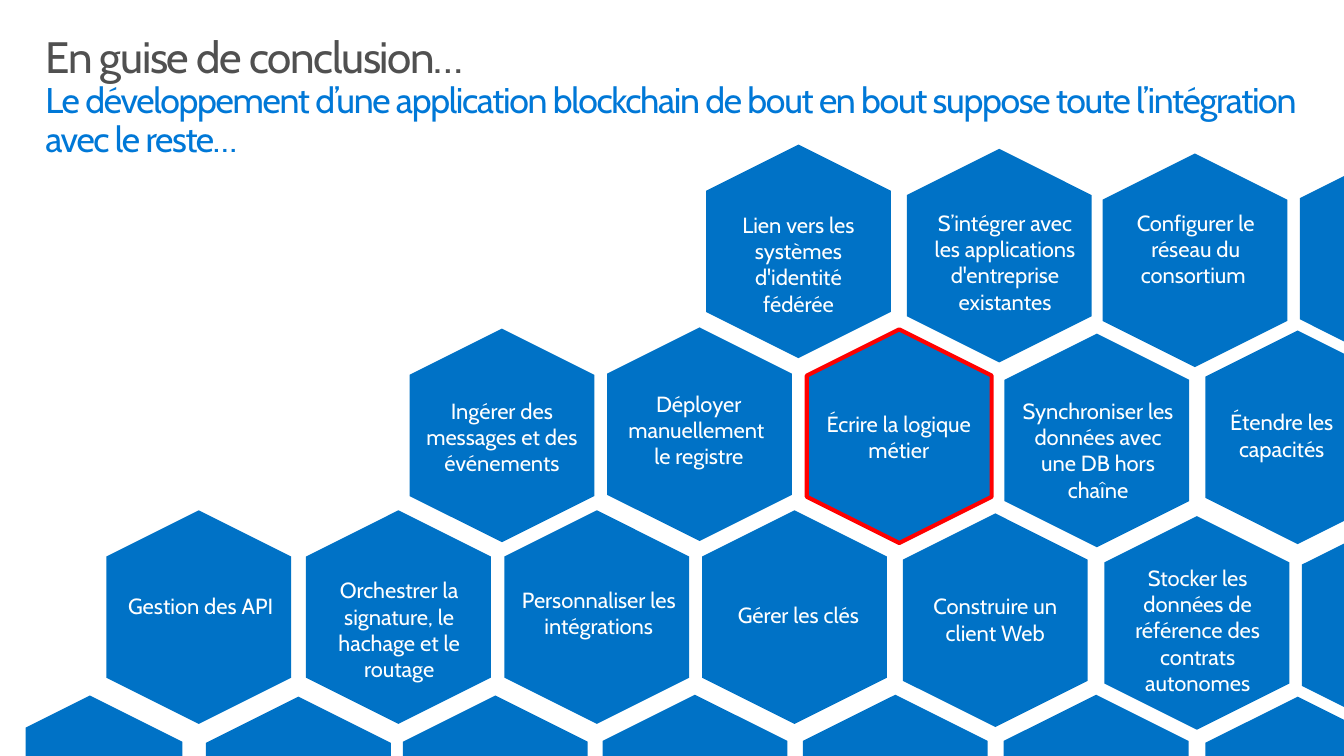
"""Build the closing slide: a honeycomb of blockchain integration tasks."""
from dataclasses import dataclass

from pptx import Presentation
from pptx.dml.color import RGBColor
from pptx.enum.shapes import MSO_SHAPE
from pptx.enum.text import MSO_ANCHOR, PP_ALIGN
from pptx.shapes.autoshape import Shape
from pptx.slide import Slide
from pptx.text.text import TextFrame
from pptx.util import Cm, Pt

Point = tuple[float, float]

BLUE = RGBColor(0x00, 0x72, 0xC6)
SKY = RGBColor(0x00, 0x78, 0xD7)
GREY = RGBColor(0x50, 0x50, 0x50)
RED = RGBColor(0xFF, 0x00, 0x00)
WHITE = RGBColor(0xFF, 0xFF, 0xFF)
FONT = "Cabin"
WIDE, HIGH = 34.54, 19.43
LEFT = 0.66
TALL, BROAD = 5.49, 4.75
SLOPE = BROAD / 4


@dataclass
class Label:
    """Text on a tile: centre, top, line count and box width in cm."""
    text: str
    mid: float
    top: float
    lines: int
    width: float = 4.17


@dataclass
class Tile:
    """Whole hexagon, given by its centre in cm."""
    x: float
    y: float
    label: Label
    framed: bool = False


TILES = [
    Tile(20.52, 6.46, Label("Lien vers les systèmes d'identité fédérée", 20.52, 5.23, 4)),
    Tile(25.68, 6.57, Label("S’intégrer avec les applications d'entreprise existantes",
                            25.83, 5.18, 4)),
    Tile(30.71, 6.69, Label("Configurer le réseau du consortium ", 30.73, 5.18, 3)),
    Tile(12.9, 11.19, Label("Ingérer des messages et des événements", 12.9, 10.01, 3)),
    Tile(17.98, 11.16, Label("Déployer manuellement \nle registre", 17.96, 9.83, 3)),
    Tile(23.11, 11.21, Label("Écrire la logique métier", 23.1, 10.34, 2, 4.65), True),
    Tile(28.19, 11.32, Label("Synchroniser les données avec une DB hors chaîne",
                             28.22, 10.01, 4)),
    Tile(5.11, 15.86, Label("Gestion des API", 5.16, 15.04, 1)),
    Tile(10.24, 15.86, Label("Orchestrer la signature, le hachage et le routage",
                             10.26, 14.63, 4, 4.88)),
    Tile(15.34, 15.86, Label("Personnaliser les intégrations", 15.39, 14.88, 2)),
    Tile(20.42, 15.86, Label("Gérer les clés", 20.52, 15.27, 1)),
    Tile(25.58, 15.94, Label("Construire un client Web", 25.58, 15.04, 2)),
    Tile(30.76, 16.01, Label("Stocker les données de référence des contrats autonomes",
                             30.78, 14.3, 5)),
]
CUT: list[Point] = [
    (2.31, 20.62), (7.67, 20.65), (12.73, 20.62), (17.86, 20.6), (23.01, 20.6),
    (28.17, 20.6), (33.35, 20.65), (35.78, 6.65), (33.35, 11.24), (35.83, 16.07),
]
EXTEND = Label("Étendre les capacités", 32.94, 10.31, 2)


def clip(points: list[Point], axis: int, edge: float, side: int) -> list[Point]:
    """Keep the part of an outline on one side of an edge."""
    kept = []
    for a, b in zip(points, points[1:] + points[:1]):
        da, db = side * (a[axis] - edge), side * (b[axis] - edge)
        if da >= 0:
            kept.append(a)
        if da * db < 0:
            t = da / (da - db)
            kept.append((a[0] + t * (b[0] - a[0]), a[1] + t * (b[1] - a[1])))
    return kept


def paint(shape: Shape, framed: bool = False) -> None:
    """Fill a hexagon and outline it if framed."""
    shape.shadow.inherit = False
    shape.fill.solid()
    shape.fill.fore_color.rgb = BLUE
    if framed:
        shape.line.color.rgb = RED
        shape.line.width = Pt(3)
    else:
        shape.line.fill.background()


def draw_cut(slide: Slide, x: float, y: float) -> None:
    """Draw a hexagon trimmed at the slide edges."""
    half, rise = BROAD / 2, TALL / 2
    points = [(x, y - rise), (x + half, y - rise + SLOPE), (x + half, y + rise - SLOPE),
              (x, y + rise), (x - half, y + rise - SLOPE), (x - half, y - rise + SLOPE)]
    for axis, edge, side in ((0, LEFT, 1), (0, WIDE, -1), (1, HIGH, -1)):
        points = clip(points, axis, edge, side)
    first, *rest = [(Cm(px), Cm(py)) for px, py in points]
    form = slide.shapes.build_freeform(*first)
    form.add_line_segments(rest)
    paint(form.convert_to_shape())


def add_text(slide: Slide, x: float, y: float, width: float, height: float,
             side: float, top: float, foot: float) -> TextFrame:
    """Add a wrapping text box with the given insets."""
    frame = slide.shapes.add_textbox(Cm(x), Cm(y), Cm(width), Cm(height)).text_frame
    frame.word_wrap = True
    frame.vertical_anchor = MSO_ANCHOR.TOP
    frame.margin_left = frame.margin_right = Cm(side)
    frame.margin_top, frame.margin_bottom = Cm(top), Cm(foot)
    return frame


def draw_label(slide: Slide, label: Label) -> None:
    """Write the white text of a tile."""
    frame = add_text(slide, label.mid - label.width / 2, label.top, label.width,
                     0.2 + 0.69 * label.lines, 0, 0.2, 0)
    frame.text = label.text
    for para in frame.paragraphs:
        para.alignment = PP_ALIGN.CENTER
        for run in para.runs:
            run.font.name, run.font.size = FONT, Pt(16)
            run.font.color.rgb = WHITE


def draw_tile(slide: Slide, tile: Tile) -> None:
    """Draw a whole hexagon and its label."""
    shape = slide.shapes.add_shape(MSO_SHAPE.HEXAGON, Cm(tile.x - TALL / 2),
                                   Cm(tile.y - BROAD / 2), Cm(TALL), Cm(BROAD))
    shape.rotation = 270
    paint(shape, tile.framed)
    draw_label(slide, tile.label)


def draw_title(slide: Slide) -> None:
    """Write the two-part title."""
    para = add_text(slide, 0.76, 0.66, 33.02, 2.39, 0.41, 0.25, 0.25).paragraphs[0]
    para.text = ("En guise de conclusion…\vLe développement d’une application blockchain "
                 "de bout en bout suppose toute l’intégration avec le reste…")
    para.line_spacing = 0.9
    for run, size, color in zip(para.runs, (32, 26), (GREY, SKY)):
        run.font.name, run.font.size = FONT, Pt(size)
        run.font.color.rgb = color
        run.font._element.set("spc", "-100")


def main() -> None:
    """Build and save the slide."""
    deck = Presentation()
    deck.slide_width, deck.slide_height = Cm(WIDE), Cm(HIGH)
    slide = deck.slides.add_slide(deck.slide_layouts[6])
    draw_title(slide)
    for x, y in CUT:
        draw_cut(slide, x, y)
    draw_label(slide, EXTEND)
    for tile in TILES:
        draw_tile(slide, tile)
    deck.save("out.pptx")


if __name__ == "__main__":
    main()
